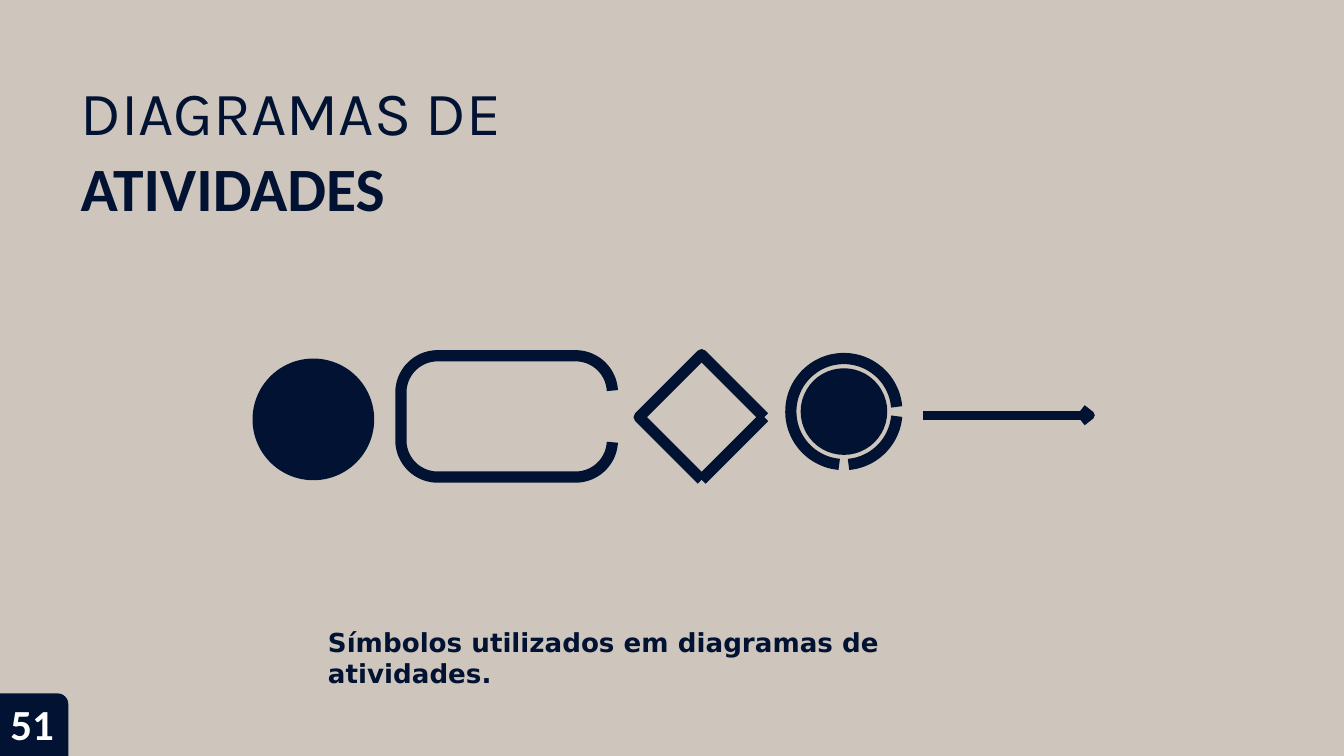
import math
from dataclasses import dataclass

import pptx
import pptx.dml.color
import pptx.enum.shapes
import pptx.enum.text
import pptx.oxml
import pptx.oxml.ns
import pptx.util

Pt = pptx.util.Pt
SHAPE = pptx.enum.shapes.MSO_SHAPE


@dataclass(frozen=True)
class Theme:
    paper: str = "CEC6BD"
    ink: str = "011232"
    light: str = "FFFFFF"
    title_size: float = 33
    number_size: float = 23
    caption_size: float = 14
    outline: float = 6
    arrow: float = 4.5


THEME = Theme()

# Content: (text, font, bold) per title line
TITLE = [("DIAGRAMAS DE", "Karla", False), ("ATIVIDADES", "Calibri", True)]
CAPTION = "Símbolos utilizados em diagramas de atividades."
PAGE_NUMBER = "51"

# Places in points: left, top, width, height
PAGE_SIZE = (720, 405)
TITLE_AT = (42.5, 38.9, 268.5, 82)
NUMBER_AT = (3.6, 371.5, 28.8, 30.2)
CAPTION_AT = (175, 334.8, 369.4, 34.6)
BADGE_AT = (0, 371.5, 36.6, 33.5)
START_AT = (135.3, 192.1, 65.2, 65.2)
ACTION_AT = (214.8, 190.6, 113.3, 65)
ACTION_RADIUS = 19.7
DECISION_CENTER, DECISION_RADIUS = (375.9, 223.5), 33.5
FINAL_CENTER, RING_RADIUS, CORE_RADIUS = (452.1, 220.5), 28.4, 23.2
RING_ARCS = [(5, 85), (95, 355)]
FLOW_LEFT, FLOW_RIGHT, FLOW_Y = 494.4, 584.3, 222.5
HEAD_LENGTH, HEAD_HALF = 4.6, 3.6


def color(value):
    return pptx.dml.color.RGBColor.from_string(value)


def place(box, at):
    box.left, box.top, box.width, box.height = (Pt(value) for value in at)


def arc(center, radius, start, end, steps=24):
    """Points along a circle; angles in degrees, clockwise from the right."""
    angles = [math.radians(start + (end - start) * i / steps) for i in range(steps + 1)]
    return [(center[0] + radius * math.cos(a), center[1] + radius * math.sin(a)) for a in angles]


def add_solid(page, kind, at):
    shape = page.shapes.add_shape(kind, *(Pt(value) for value in at))
    shape.shadow.inherit = False
    shape.fill.solid()
    shape.fill.fore_color.rgb = color(THEME.ink)
    shape.line.fill.background()
    return shape


def add_path(page, points, width):
    points = [(Pt(x), Pt(y)) for x, y in points]
    builder = page.shapes.build_freeform(*points[0])
    builder.add_line_segments(points[1:], close=False)
    shape = builder.convert_to_shape()
    shape.shadow.inherit = False
    shape.fill.background()
    shape.line.color.rgb = color(THEME.ink)
    shape.line.width = Pt(width)


def add_line(page, start, end, width):
    line = page.shapes.add_connector(
        pptx.enum.shapes.MSO_CONNECTOR.STRAIGHT, *(Pt(value) for value in (*start, *end)))
    line.line.color.rgb = color(THEME.ink)
    line.line.width = Pt(width)
    line._element.spPr.append(pptx.oxml.parse_xml(
        f"<a:effectLst {pptx.oxml.ns.nsdecls('a')}/>"))


def write(box, lines, *, size, ink, inset_top=0.7, indent=0.7, space=0):
    frame = box.text_frame
    frame.word_wrap = True
    frame.auto_size = pptx.enum.text.MSO_AUTO_SIZE.NONE
    frame.vertical_anchor = pptx.enum.text.MSO_ANCHOR.TOP
    frame.margin_left = frame.margin_right = frame.margin_bottom = 0
    frame.margin_top = Pt(inset_top)
    for index, (text, font, bold) in enumerate(lines):
        para = frame.add_paragraph() if index else frame.paragraphs[0]
        para.alignment = pptx.enum.text.PP_ALIGN.LEFT
        para.space_before = Pt(space if index else 0)
        properties = para._p.get_or_add_pPr()
        properties.set("marL", str(Pt(indent)))
        properties.set("indent", "0")
        span = para.add_run()
        span.text = text
        span.font.name, span.font.bold, span.font.size = font, bold, Pt(size)
        span.font.color.rgb = color(ink)


def add_text(page, at, lines, **style):
    box = page.shapes.add_textbox(*(Pt(value) for value in at))
    write(box, lines, **style)


def add_symbols(page):
    # Start node
    add_solid(page, SHAPE.OVAL, START_AT)

    # Action: rounded frame, open on the right
    left, top, width, height = ACTION_AT
    r = ACTION_RADIUS
    near, far = left + r, left + width - r
    high, low = top + r, top + height - r
    corners = [((far, low), 3, 90), ((near, low), 90, 180),
               ((near, high), 180, 270), ((far, high), 270, 357)]
    add_path(page, [point for center, start, end in corners
                    for point in arc(center, r, start, end)], THEME.outline)

    # Decision: the lower right side is a separate stroke
    right, bottom, left_tip, top_tip = arc(DECISION_CENTER, DECISION_RADIUS, 0, 270, steps=3)
    add_line(page, right, bottom, THEME.outline)
    add_path(page, [bottom, left_tip, top_tip, right], THEME.outline)

    # Final node: broken ring around a disc
    for start, end in RING_ARCS:
        add_path(page, arc(FINAL_CENTER, RING_RADIUS, start, end, steps=(end - start) // 4),
                 THEME.outline)
    x, y = FINAL_CENTER
    add_solid(page, SHAPE.OVAL, (x - CORE_RADIUS, y - CORE_RADIUS, 2 * CORE_RADIUS, 2 * CORE_RADIUS))

    # Flow arrow
    tip = (FLOW_RIGHT, FLOW_Y)
    add_line(page, (FLOW_LEFT, FLOW_Y), tip, THEME.arrow)
    back = FLOW_RIGHT - HEAD_LENGTH
    add_path(page, [(back, FLOW_Y - HEAD_HALF), tip, (back, FLOW_Y + HEAD_HALF)], THEME.arrow)


def main():
    deck = pptx.Presentation()
    deck.slide_width, deck.slide_height = (Pt(value) for value in PAGE_SIZE)
    page = deck.slides.add_slide(deck.slide_layouts.get_by_name("Title Only"))
    page.background.fill.solid()
    page.background.fill.fore_color.rgb = color(THEME.paper)

    # Title
    place(page.shapes.title, TITLE_AT)
    write(page.shapes.title, TITLE, size=THEME.title_size, ink=THEME.ink, space=1)

    # Page number badge
    badge = add_solid(page, SHAPE.ROUND_1_RECTANGLE, BADGE_AT)
    badge.adjustments[0] = 0.17
    add_text(page, NUMBER_AT, [(PAGE_NUMBER, "Calibri", True)], size=THEME.number_size,
             ink=THEME.light, inset_top=2, indent=2)

    # Diagram and caption
    add_symbols(page)
    add_text(page, CAPTION_AT, [(CAPTION, "DejaVu Sans", True)],
             size=THEME.caption_size, ink=THEME.ink)
    deck.save("out.pptx")


if __name__ == "__main__":
    main()
